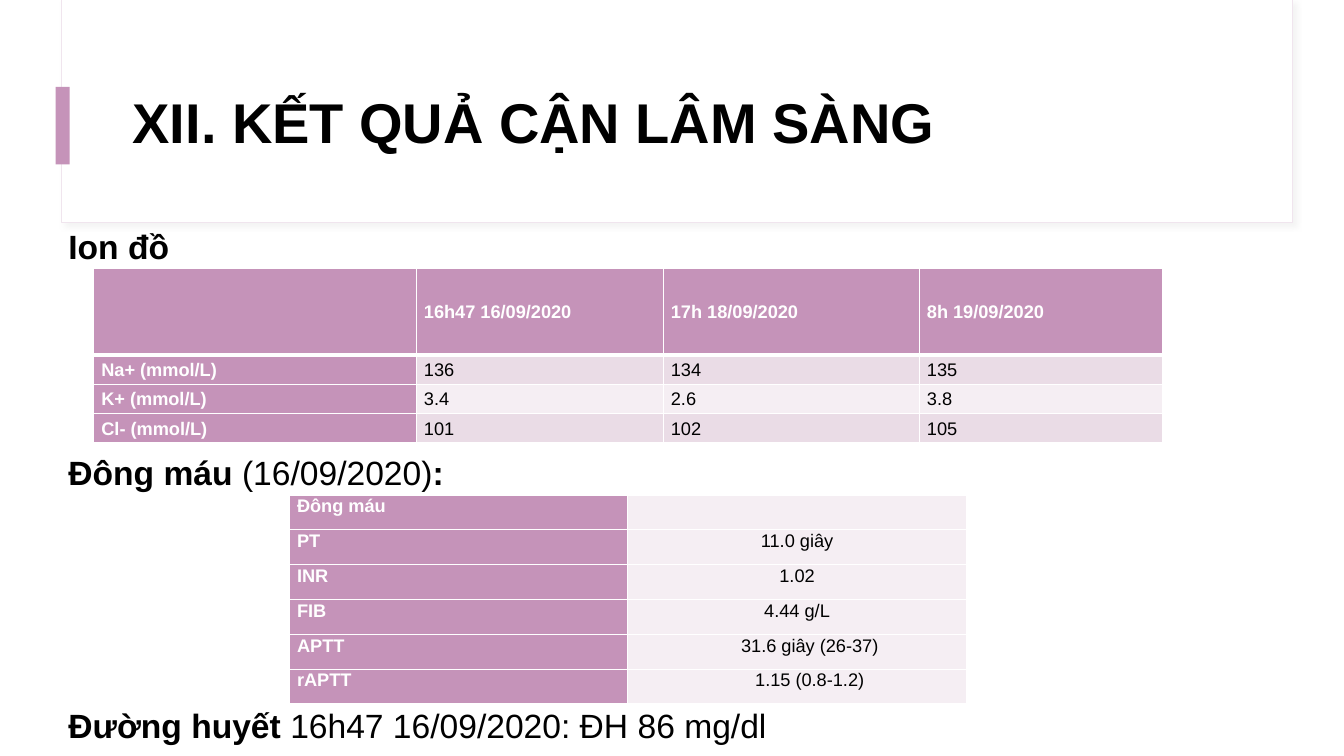
from lxml import etree
from pptx import Presentation
from pptx.dml.color import RGBColor
from pptx.enum.shapes import MSO_SHAPE as Shape
from pptx.enum.text import MSO_ANCHOR as Anchor, MSO_AUTO_SIZE as AutoSize, PP_ALIGN as Align
from pptx.oxml import parse_xml
from pptx.oxml.ns import nsdecls, qn
from pptx.util import Pt

WHITE = RGBColor(0xFF, 0xFF, 0xFF)
BLACK = RGBColor(0, 0, 0)
MAUVE = RGBColor(0xC5, 0x93, 0xB9)
BAND_DARK = RGBColor(0xEA, 0xDC, 0xE6)
BAND_LIGHT = RGBColor(0xF5, 0xEE, 0xF3)
FRAME = RGBColor(0xF0, 0xE5, 0xEE)
SHADOW = RGBColor(0xD9, 0xD9, 0xD9)

ION_ROWS = [
    ["", "16h47 16/09/2020", "17h 18/09/2020", "8h 19/09/2020"],
    ["Na+ (mmol/L)", "136", "134", "135"],
    ["K+ (mmol/L)", "3.4", "2.6", "3.8"],
    ["Cl- (mmol/L)", "101", "102", "105"],
]
CLOTTING_ROWS = [
    ["Đông máu", ""],
    ["PT", "11.0 giây"],
    ["INR", "1.02"],
    ["FIB", "4.44 g/L"],
    ["APTT", "31.6 giây (26-37)"],
    ["rAPTT", "1.15 (0.8-1.2)"],
]


def write_text(frame, runs, size=24, color=BLACK, align=Align.LEFT, spacing=1.07, after=0, indent=0):
    paragraph = frame.paragraphs[0]
    paragraph.alignment = align
    paragraph.line_spacing = spacing
    paragraph.space_after = Pt(after)
    if indent:
        paragraph._p.get_or_add_pPr().set("marL", str(Pt(indent)))
    for text, bold in runs:
        run = paragraph.add_run()
        run.text = text
        run.font.name = "Arial"
        run.font.size = Pt(size)
        run.font.bold = bold
        run.font.color.rgb = color


def add_text(slide, box, runs, anchor=Anchor.TOP, auto_size=AutoSize.NONE, **text_format):
    frame = slide.shapes.add_textbox(*map(Pt, box)).text_frame
    frame.word_wrap = True
    frame.auto_size = auto_size
    frame.vertical_anchor = anchor
    write_text(frame, runs, **text_format)


def add_block(slide, box, fill, line=None):
    shape = slide.shapes.add_shape(Shape.RECTANGLE, *map(Pt, box))
    shape.shadow.inherit = False
    shape.fill.solid()
    shape.fill.fore_color.rgb = fill
    if line is None:
        shape.line.fill.background()
    else:
        shape.line.color.rgb = line
        shape.line.width = Pt(0.75)
    return shape


def add_soft_shadow(shape):
    effects = shape._element.spPr.find(qn("a:effectLst"))
    shadow = etree.SubElement(effects, qn("a:outerShdw"), blurRad=str(Pt(4)), dist=str(Pt(3)),
                              dir="2700000", algn="tl", rotWithShape="0")
    color = etree.SubElement(shadow, qn("a:srgbClr"), val=str(SHADOW))
    etree.SubElement(color, qn("a:alpha"), val="30000")


def set_borders(cell, top=1, bottom=1):
    properties = cell._tc.get_or_add_tcPr()
    widths = {"lnL": 1, "lnR": 1, "lnT": top, "lnB": bottom}
    for index, (side, width) in enumerate(widths.items()):
        properties.insert(index, parse_xml(
            f'<a:{side} {nsdecls("a")} w="{Pt(width)}"><a:solidFill>'
            f'<a:srgbClr val="{WHITE}"/></a:solidFill></a:{side}>'))


def format_cell(cell, text, fill, anchor, **text_format):
    cell.margin_left = cell.margin_right = Pt(5.4)
    cell.margin_top = cell.margin_bottom = 0
    cell.vertical_anchor = anchor
    cell.fill.solid()
    cell.fill.fore_color.rgb = fill
    if text:
        write_text(cell.text_frame, size=13, **text_format)


def add_grid(slide, left, top, column_widths, row_heights):
    frame = slide.shapes.add_table(len(row_heights), len(column_widths), Pt(left), Pt(top),
                                   Pt(sum(column_widths)), Pt(sum(row_heights)))
    table = frame.table
    table.horz_banding = False
    for column, width in zip(table.columns, column_widths):
        column.width = Pt(width)
    for row, height in zip(table.rows, row_heights):
        row.height = Pt(height)
    return table


def add_title(slide, left, top, width, height):
    add_soft_shadow(add_block(slide, (left, top, width, height), WHITE, FRAME))
    add_block(slide, (left - 4.5, top + 62, 10, 55.5), MAUVE)
    add_text(slide, (left + 43.5, top + 43.2, 800.6, 92.9), [("XII. KẾT QUẢ CẬN LÂM SÀNG", True)],
             anchor=Anchor.MIDDLE, size=40, spacing=0.9)


def add_ion_panel(slide, left, top):
    add_text(slide, (left, top, 787, 52.6), [("Ion đồ", True)], spacing=1.1)
    table = add_grid(slide, left + 25.2, top + 36.7, [230.4, 176.4, 182.9, 173.5],
                     [62] + [20.9] * 3)
    for i, row in enumerate(ION_ROWS):
        for j, text in enumerate(row):
            heading = i == 0 or j == 0
            band = BAND_DARK if i % 2 else BAND_LIGHT
            cell = table.cell(i, j)
            format_cell(cell, text, MAUVE if heading else band, Anchor.MIDDLE,
                        runs=[(text, heading)], color=WHITE if heading else BLACK,
                        align=Align.JUSTIFY if i else Align.LEFT, after=8)
            set_borders(cell, top=3 if i == 1 else 1, bottom=3 if i == 0 else 1)


def add_clotting_panel(slide, left, top):
    add_text(slide, (left, top, 800.6, 111.6),
             [("Đông máu ", True), ("(16/09/2020)", False), (":", True)], spacing=1.1)
    table = add_grid(slide, left + 165, top + 37.4, [241.7] * 2, [24.9] * len(CLOTTING_ROWS))
    for i, (label, value) in enumerate(CLOTTING_ROWS):
        format_cell(table.cell(i, 0), label, MAUVE, Anchor.TOP, runs=[(label, True)],
                    color=WHITE, align=Align.JUSTIFY)
        format_cell(table.cell(i, 1), value, BAND_LIGHT, Anchor.TOP, runs=[(value, False)],
                    align=Align.CENTER, indent=18 if "(" in value else 0)
        for j in range(2):
            set_borders(table.cell(i, j))


def add_glucose_line(slide, left, top):
    add_text(slide, (left, top, 728.6, 36),
             [("Đường huyết ", True), ("16h47 16/09/2020: ĐH 86 mg/dl", False)],
             auto_size=AutoSize.SHAPE_TO_FIT_TEXT, align=Align.JUSTIFY)


def main():
    presentation = Presentation()
    presentation.slide_width = Pt(960)
    presentation.slide_height = Pt(540)
    slide = presentation.slides.add_slide(presentation.slide_layouts[6])
    add_title(slide, 44.2, 0, 879, 158.8)
    add_ion_panel(slide, 41.8, 154.8)
    add_clotting_panel(slide, 41.8, 316.1)
    add_glucose_line(slide, 41.8, 498.2)
    presentation.save("out.pptx")


if __name__ == "__main__":
    main()
